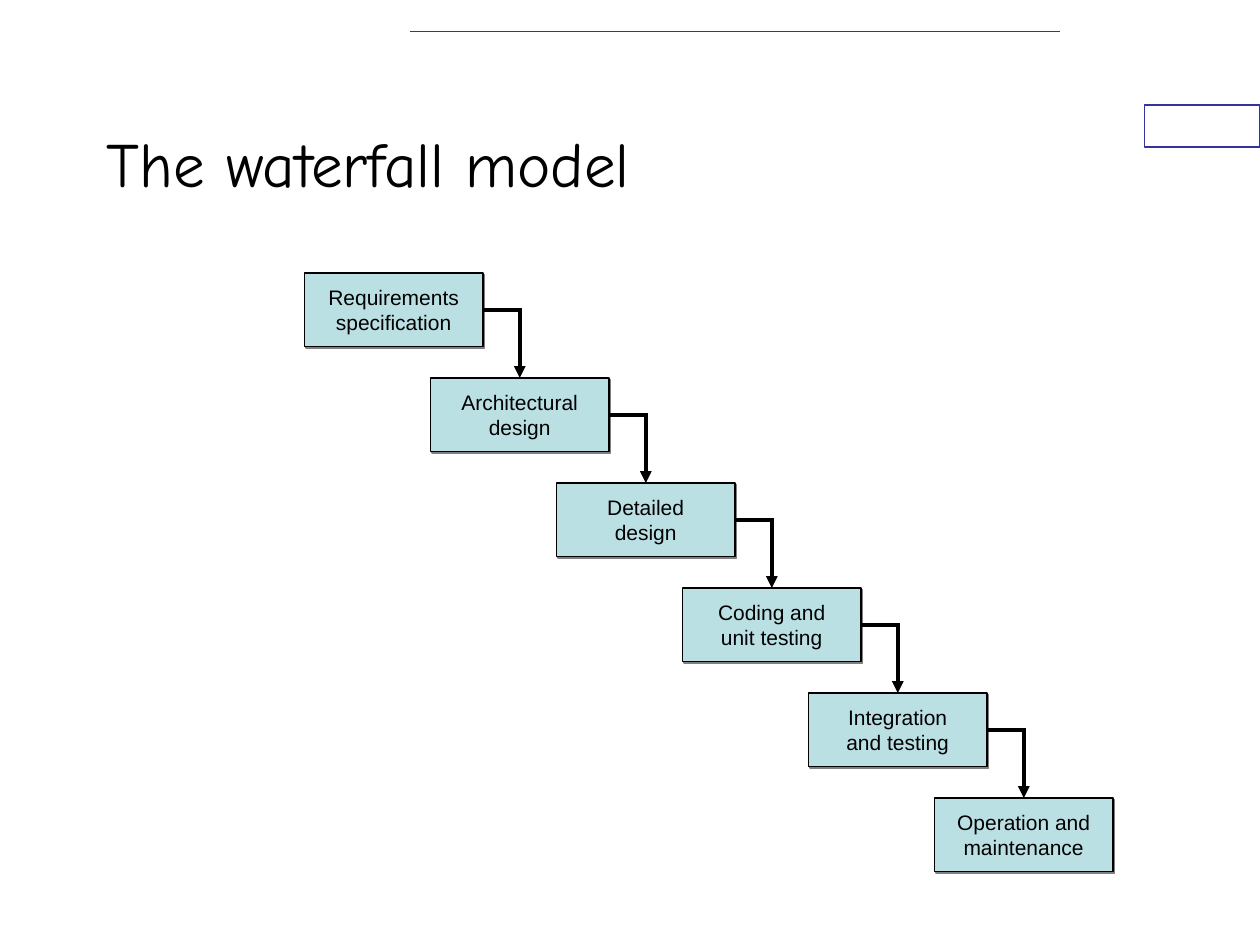
"""Build a slide that shows the waterfall model as a staircase of six stages."""
from dataclasses import dataclass
from itertools import pairwise

from lxml import etree
from pptx import Presentation
from pptx.dml.color import RGBColor
from pptx.enum.shapes import MSO_CONNECTOR, MSO_SHAPE
from pptx.enum.text import MSO_ANCHOR, PP_ALIGN
from pptx.oxml.ns import qn
from pptx.util import Pt

RECTANGLE = MSO_SHAPE.RECTANGLE
STRAIGHT, ELBOW = MSO_CONNECTOR.STRAIGHT, MSO_CONNECTOR.ELBOW
MIDDLE, CENTER, LEFT = MSO_ANCHOR.MIDDLE, PP_ALIGN.CENTER, PP_ALIGN.LEFT
TOP_SIDE, RIGHT_SIDE = 0, 3

TITLE = "The waterfall model"
STAGES = [
    ("Requirements", "specification"),
    ("Architectural", "design"),
    ("Detailed", "design"),
    ("Coding and", "unit testing"),
    ("Integration", "and testing"),
    ("Operation and", "maintenance"),
]

SLIDE_SIZE = (720, 540)
TITLE_BOX = (54, 48, 540, 90)
CORNER_BOX = (654, 60, 66, 24)
TOP_RULE = (234, 18, 606, 18)
FIRST_STAGE = (174, 156)
STAGE_SIZE = (102, 42)
STAGE_STEP = (72, 60)


@dataclass(frozen=True)
class Theme:
    """Colours, fonts and sizes of the slide."""

    ink: str = "000000"
    paper: str = "FFFFFF"
    accent: str = "333399"
    stage: str = "BBE0E3"
    shadow: str = "808080"
    title_font: str = "Comic Neue"
    stage_font: str = "Arial"
    title_size: float = 36
    stage_size: float = 12
    outline: float = 0.75
    rule: float = 1
    arrow: float = 2.25
    shadow_distance: float = 1.4


THEME = Theme()


def points(values):
    return [Pt(value) for value in values]


def style_line(line, color, width):
    line.color.rgb = RGBColor.from_string(color)
    line.width = Pt(width)


def add_box(slide, bounds, fill, line):
    shape = slide.shapes.add_shape(RECTANGLE, *points(bounds))
    shape.fill.solid()
    shape.fill.fore_color.rgb = RGBColor.from_string(fill)
    style_line(shape.line, line, THEME.outline)
    shape.shadow.inherit = False
    return shape


def write_text(shape, lines, font, size, alignment, wrap):
    frame = shape.text_frame
    frame.word_wrap = wrap
    frame.vertical_anchor = MIDDLE
    paragraph = frame.paragraphs[0]
    paragraph.alignment = alignment
    for index, text in enumerate(lines):
        if index:
            paragraph.add_line_break()
        run = paragraph.add_run()
        run.text = text
        run.font.name = font
        run.font.size = Pt(size)
        run.font.color.rgb = RGBColor.from_string(THEME.ink)


def add_shadow(shape):
    effects = shape.element.spPr.find(qn("a:effectLst"))
    shadow = etree.SubElement(
        effects, qn("a:outerShdw"),
        dist=str(Pt(THEME.shadow_distance)), dir=str(45 * 60000),
        algn="ctr", rotWithShape="0",
    )
    etree.SubElement(shadow, qn("a:srgbClr"), val=THEME.shadow)


def add_line(slide, kind, ends, color, width):
    connector = slide.shapes.add_connector(kind, *points(ends))
    style_line(connector.line, color, width)
    etree.SubElement(connector.element.spPr, qn("a:effectLst"))
    return connector


def add_stage(slide, index, lines):
    position = [start + index * step for start, step in zip(FIRST_STAGE, STAGE_STEP)]
    stage = add_box(slide, (*position, *STAGE_SIZE), THEME.stage, THEME.ink)
    add_shadow(stage)
    write_text(stage, lines, THEME.stage_font, THEME.stage_size, CENTER, False)
    return stage


def add_arrow(slide, source, target):
    arrow = add_line(slide, ELBOW, (0, 0, 0, 0), THEME.ink, THEME.arrow)
    arrow.begin_connect(source, RIGHT_SIDE)
    arrow.end_connect(target, TOP_SIDE)
    properties = arrow.element.spPr
    properties.find(qn("a:prstGeom")).set("prst", "bentConnector2")
    line = properties.find(qn("a:ln"))
    etree.SubElement(line, qn("a:miter"), lim="800000")
    etree.SubElement(line, qn("a:tailEnd"), type="triangle")


def main():
    presentation = Presentation()
    presentation.slide_width, presentation.slide_height = points(SLIDE_SIZE)
    slide = presentation.slides.add_slide(presentation.slide_layouts[6])

    add_box(slide, CORNER_BOX, THEME.paper, THEME.accent)
    add_line(slide, STRAIGHT, TOP_RULE, THEME.accent, THEME.rule)
    title = slide.shapes.add_textbox(*points(TITLE_BOX))
    write_text(title, [TITLE], THEME.title_font, THEME.title_size, LEFT, True)

    stages = [add_stage(slide, index, lines) for index, lines in enumerate(STAGES)]
    for source, target in pairwise(stages):
        add_arrow(slide, source, target)

    presentation.save("out.pptx")


if __name__ == "__main__":
    main()
